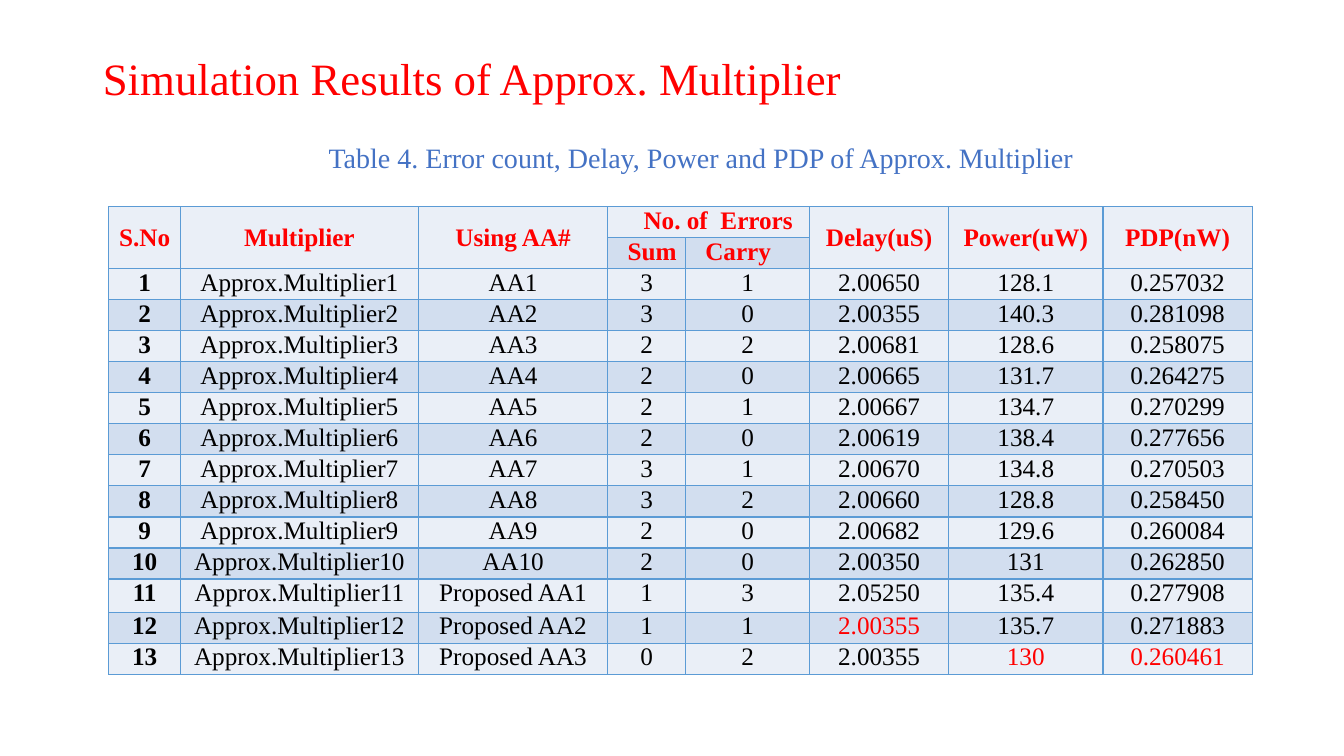
from lxml.etree import SubElement
from pptx import Presentation
from pptx.dml.color import RGBColor
from pptx.enum.text import MSO_ANCHOR, MSO_AUTO_SIZE, PP_ALIGN
from pptx.oxml.ns import qn
from pptx.util import Inches, Pt

RED = RGBColor(0xFF, 0x00, 0x00)
BLACK = RGBColor(0x00, 0x00, 0x00)
CAPTION_BLUE = RGBColor(0x44, 0x72, 0xC4)
GRID_BLUE = RGBColor(0x5B, 0x9B, 0xD5)
BANDS = (RGBColor(0xEA, 0xEF, 0xF7), RGBColor(0xD2, 0xDE, 0xEF))

# Column widths are percent of the slide width, row heights of its height.
COLUMN_WIDTHS = [5.33, 17.7, 14.1, 5.78, 9.23, 10.35, 11.48, 11.1]
ROW_HEIGHT = 4.11
ROW_HEIGHT_FIRST_PROPOSED = 4.4

HEADINGS = ["S.No", "Multiplier", "Using AA#", "No. of  Errors", "",
            "Delay(uS)", "Power(uW)", "PDP(nW)"]
SUBHEADINGS = ["", "", "", "Sum", "Carry", "", "", ""]
HEADER_ROWS = 2
ERRORS_COLUMN = HEADINGS.index("No. of  Errors")
EXISTING_ADDERS = 10

# Sum errors, carry errors, delay, power, PDP
RESULTS = [
    ("3", "1", "2.00650", "128.1", "0.257032"),
    ("3", "0", "2.00355", "140.3", "0.281098"),
    ("2", "2", "2.00681", "128.6", "0.258075"),
    ("2", "0", "2.00665", "131.7", "0.264275"),
    ("2", "1", "2.00667", "134.7", "0.270299"),
    ("2", "0", "2.00619", "138.4", "0.277656"),
    ("3", "1", "2.00670", "134.8", "0.270503"),
    ("3", "2", "2.00660", "128.8", "0.258450"),
    ("2", "0", "2.00682", "129.6", "0.260084"),
    ("2", "0", "2.00350", "131", "0.262850"),
    ("1", "3", "2.05250", "135.4", "0.277908"),
    ("1", "1", "2.00355", "135.7", "0.271883"),
    ("0", "2", "2.00355", "130", "0.260461"),
]
BEST_VALUES = {(12, "Delay(uS)"), (13, "Power(uW)"), (13, "PDP(nW)")}


class SlideBuilder:
    """Holds the style and the slide; lengths are percent of the slide's size."""

    font_name = "Times New Roman"

    def __init__(self, presentation):
        self.presentation = presentation
        self.slide = presentation.slides.add_slide(presentation.slide_layouts[5])

    def across(self, percent):
        return round(self.presentation.slide_width * percent / 100)

    def down(self, percent):
        return round(self.presentation.slide_height * percent / 100)

    def box(self, left, top, width, height):
        return (self.across(left), self.down(top),
                self.across(width), self.down(height))

    def set_text(self, frame, text, size, color, bold=False, align=PP_ALIGN.LEFT):
        frame.text = text
        paragraph = frame.paragraphs[0]
        paragraph.alignment = align
        font = paragraph.font
        font.name, font.size, font.bold = self.font_name, Pt(size), bold
        font.color.rgb = color
        return paragraph

    def title(self, text, *place):
        title = self.slide.shapes.title
        title.left, title.top, title.width, title.height = self.box(*place)
        frame = title.text_frame
        frame.vertical_anchor = MSO_ANCHOR.MIDDLE
        self.set_text(frame, text, 32, RED).line_spacing = 0.9

    def caption(self, text, *place):
        frame = self.slide.shapes.add_textbox(*self.box(*place)).text_frame
        frame.word_wrap = False
        frame.auto_size = MSO_AUTO_SIZE.SHAPE_TO_FIT_TEXT
        self.set_text(frame, text, 20, CAPTION_BLUE)

    def table(self, left, top, widths, heights):
        place = self.box(left, top, sum(widths), sum(heights))
        table = self.slide.shapes.add_table(len(heights), len(widths), *place).table
        table.first_row = table.horz_banding = False
        for column, width in zip(table.columns, widths):
            column.width = self.across(width)
        for row, height in zip(table.rows, heights):
            row.height = self.down(height)
        return table

    def cell(self, cell, text, fill, color=BLACK, bold=False,
             align=PP_ALIGN.CENTER, indent=0.0):
        self.border(cell)
        cell.fill.solid()
        cell.fill.fore_color.rgb = fill
        cell.margin_left = self.across(0.53 + indent)
        cell.margin_right = self.across(0.53)
        cell.margin_top = cell.margin_bottom = 0
        self.set_text(cell.text_frame, text, 18, color, bold, align)

    def border(self, cell):
        """Draw all four sides; must come before the fill in the cell's XML."""
        properties = cell._tc.get_or_add_tcPr()
        for side in ("a:lnL", "a:lnR", "a:lnT", "a:lnB"):
            line = SubElement(properties, qn(side), w=str(Pt(1)))
            fill = SubElement(line, qn("a:solidFill"))
            SubElement(fill, qn("a:srgbClr"), val=str(GRID_BLUE))


def add_header(builder, table):
    for row, labels in enumerate((HEADINGS, SUBHEADINGS)):
        for column, label in enumerate(labels):
            is_subheading = label in ("Sum", "Carry")
            indent = 0.94 if is_subheading else 1.41 if column == ERRORS_COLUMN else 0
            builder.cell(table.cell(row, column), label, BANDS[row], RED, True,
                         PP_ALIGN.LEFT if is_subheading else PP_ALIGN.CENTER, indent)
    for column, heading in enumerate(HEADINGS):
        top_cell = table.cell(0, column)
        if column == ERRORS_COLUMN:
            top_cell.merge(table.cell(0, column + 1))
        elif heading:
            top_cell.merge(table.cell(1, column))
            top_cell.vertical_anchor = MSO_ANCHOR.MIDDLE


def adder_name(number):
    if number <= EXISTING_ADDERS:
        return f"AA{number}"
    return f"Proposed AA{number - EXISTING_ADDERS}"


def add_results(builder, table):
    for number, measures in enumerate(RESULTS, start=1):
        values = (str(number), f"Approx.Multiplier{number}", adder_name(number), *measures)
        row = number + HEADER_ROWS - 1
        for column, value in enumerate(values):
            color = RED if (number, HEADINGS[column]) in BEST_VALUES else BLACK
            builder.cell(table.cell(row, column), value, BANDS[row % 2], color,
                         bold=column == 0)


def main():
    presentation = Presentation()
    presentation.slide_width, presentation.slide_height = Inches(13.33), Inches(7.5)
    builder = SlideBuilder(presentation)
    heights = [ROW_HEIGHT] * (HEADER_ROWS + len(RESULTS))
    heights[HEADER_ROWS + EXISTING_ADDERS] = ROW_HEIGHT_FIRST_PROPOSED
    table = builder.table(8.1, 27.33, COLUMN_WIDTHS, heights)
    add_header(builder, table)
    add_results(builder, table)
    builder.title("Simulation Results of Approx. Multiplier", 6.9, 5.33, 86.27, 10.8)
    builder.caption("Table 4. Error count, Delay, Power and PDP of Approx. Multiplier",
                    23.71, 17.87, 57.24, 5.87)
    presentation.save("out.pptx")


if __name__ == "__main__":
    main()
